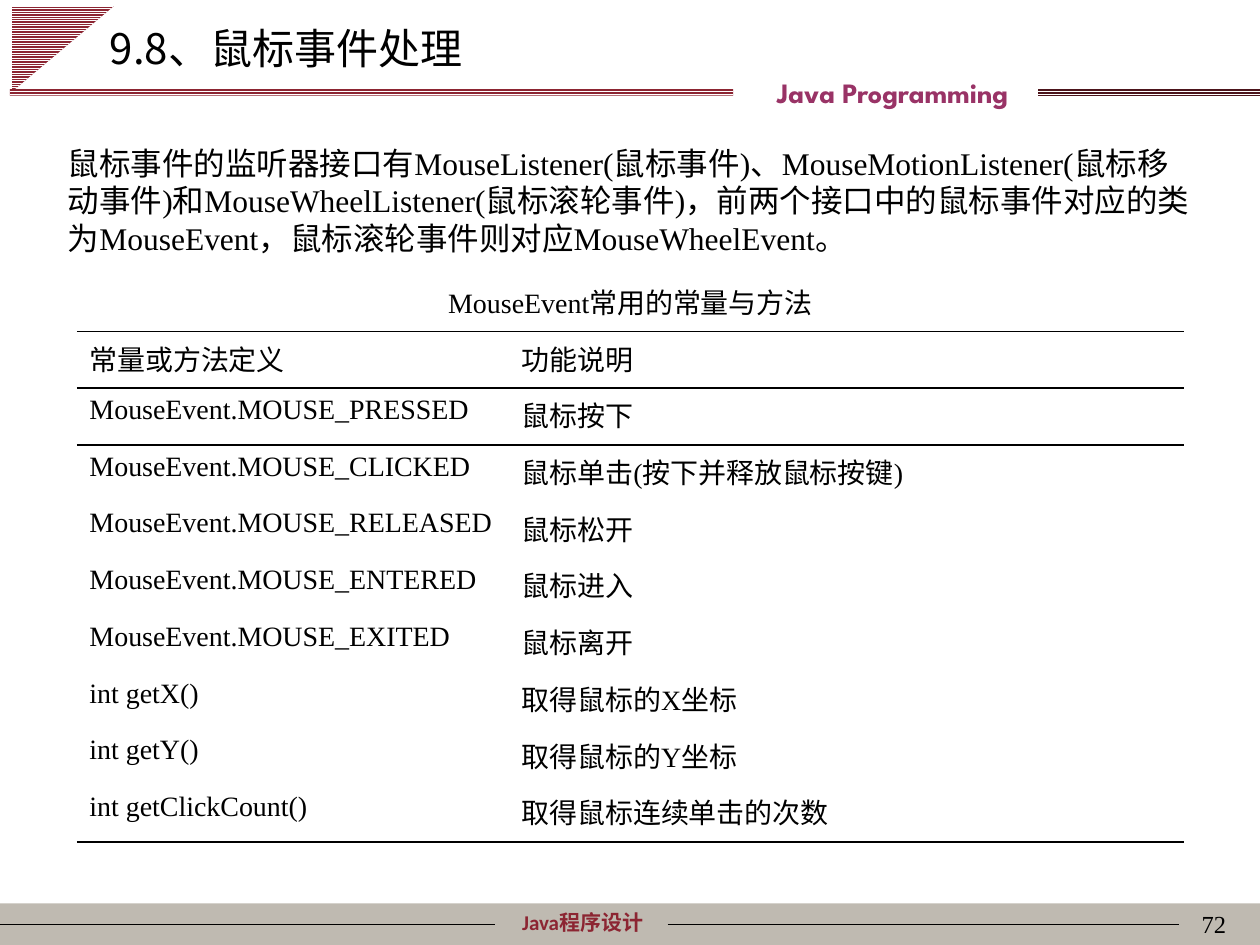
from lxml.etree import SubElement
from pptx import Presentation
from pptx.dml.color import RGBColor
from pptx.enum.dml import MSO_PATTERN
from pptx.enum.shapes import MSO_CONNECTOR, MSO_SHAPE
from pptx.enum.text import MSO_ANCHOR, PP_ALIGN
from pptx.oxml.ns import qn
from pptx.util import Cm, Pt

CJK = "Noto Sans CJK SC"
SERIF = "Times New Roman"
NO_STYLE = "{2D5ABB26-0587-4C30-8999-92F81FD0307C}"


def color(value):
    return RGBColor.from_string(value)


def write(frame, text, size, font, ink="000000", bold=False, align=PP_ALIGN.LEFT):
    frame.text = text
    frame.word_wrap = True
    paragraph = frame.paragraphs[0]
    paragraph.alignment = align
    run = paragraph.runs[0]
    run.font.size = Pt(size)
    run.font.name = font
    run.font.bold = bold
    run.font.color.rgb = color(ink)
    SubElement(run.font._element, qn("a:ea"), typeface=CJK)
    return paragraph


prs = Presentation()
prs.slide_width, prs.slide_height = Cm(25.4), Cm(19.05)
slide = prs.slides.add_slide(prs.slide_layouts[5])
shapes = slide.shapes

footer_bar = shapes.add_shape(MSO_SHAPE.RECTANGLE, 0, Cm(18.21), Cm(25.4), Cm(0.84))
footer_bar.fill.solid()
footer_bar.fill.fore_color.rgb = color("BFBAB1")
footer_bar.line.fill.background()
footer_bar.shadow.inherit = False

rule_y = Cm(18.63)
for start, end in [(0, 9.98), (13.46, 23.77)]:
    rule = shapes.add_connector(MSO_CONNECTOR.STRAIGHT, Cm(start), rule_y, Cm(end), rule_y)
    if start == 0:
        rule.begin_connect(footer_bar, 1)
    rule.line.color.rgb = color("000000")
    rule.line.width = Pt(0.75)
    SubElement(rule._element.spPr, qn("a:effectLst"))

for preset, left, top, width, height, turn, tint in [
    (MSO_SHAPE.RIGHT_TRIANGLE, 0.41, -0.05, 1.73, 2.06, 90, "8C2532"),
    (MSO_SHAPE.RECTANGLE, 20.93, 1.8, 4.47, 0.15, 0, "4C141B"),
    (MSO_SHAPE.RECTANGLE, 0.2, 1.8, 14.58, 0.13, 0, "8C2532"),
]:
    ornament = shapes.add_shape(preset, Cm(left), Cm(top), Cm(width), Cm(height))
    ornament.rotation = turn
    ornament.fill.patterned()
    ornament.fill.pattern = MSO_PATTERN.LIGHT_HORIZONTAL
    ornament.fill.fore_color.rgb = color("FFFFFF")
    ornament.fill.back_color.rgb = color(tint)
    ornament.line.fill.background()
    ornament.shadow.inherit = False

for text, left, top, width, height, size, font, ink, bold, align in [
    ("Java程序设计", 9.19, 18.21, 5.11, 0.76, 12, "Calibri", "8C2532", True, PP_ALIGN.CENTER),
    ("Java Programming", 12.9, 1.4, 10.19, 0.94, 16, "League Spartan", "993366", True, PP_ALIGN.CENTER),
    ("72", 19.69, 18.21, 5.28, 0.84, 14, SERIF, "000000", False, PP_ALIGN.RIGHT),
]:
    label = shapes.add_textbox(Cm(left), Cm(top), Cm(width), Cm(height))
    write(label.text_frame, text, size, font, ink, bold, align)

title = shapes.title
title.left, title.top, title.width, title.height = Cm(1.96), Cm(0.33), Cm(21.59), Cm(1.27)
title.text_frame.vertical_anchor = MSO_ANCHOR.TOP
write(title.text_frame, "9.8、鼠标事件处理", 24, CJK)

intro = shapes.add_textbox(Cm(1.12), Cm(2.77), Cm(23.16), Cm(2.54)).text_frame
intro.vertical_anchor = MSO_ANCHOR.MIDDLE
write(
    intro,
    "鼠标事件的监听器接口有MouseListener(鼠标事件)、MouseMotionListener(鼠标移动事件)"
    "和MouseWheelListener(鼠标滚轮事件)，前两个接口中的鼠标事件对应的类为MouseEvent，"
    "鼠标滚轮事件则对应MouseWheelEvent。",
    18, SERIF,
).line_spacing = Pt(21.6)

rows = [
    ("MouseEvent常用的常量与方法", ""),
    ("常量或方法定义", "功能说明"),
    ("MouseEvent.MOUSE_PRESSED", "鼠标按下"),
    ("MouseEvent.MOUSE_CLICKED", "鼠标单击(按下并释放鼠标按键)"),
    ("MouseEvent.MOUSE_RELEASED", "鼠标松开"),
    ("MouseEvent.MOUSE_ENTERED", "鼠标进入"),
    ("MouseEvent.MOUSE_EXITED", "鼠标离开"),
    ("int getX()", "取得鼠标的X坐标"),
    ("int getY()", "取得鼠标的Y坐标"),
    ("int getClickCount()", "取得鼠标连续单击的次数"),
]
ruled_below = {0, 1, len(rows) - 1}
table = shapes.add_table(len(rows), 2, Cm(1.55), Cm(5.54), Cm(22.32), Cm(11.43)).table
table.first_row = table.horz_banding = False
table._tbl.tblPr.find(qn("a:tableStyleId")).text = NO_STYLE
table.columns[0].width, table.columns[1].width = Cm(8.71), Cm(13.61)
table.cell(0, 0).merge(table.cell(0, 1))

for r, entries in enumerate(rows):
    for c, text in enumerate(entries):
        cell = table.cell(r, c)
        if text:
            write(cell.text_frame, text, 16, SERIF, align=PP_ALIGN.LEFT if r else PP_ALIGN.CENTER)
        borders = cell._tc.get_or_add_tcPr()
        for side, ruled in [("a:lnT", r - 1 in ruled_below), ("a:lnB", r in ruled_below)]:
            if ruled:
                edge = SubElement(borders, qn(side), w=str(Pt(1)))
                SubElement(SubElement(edge, qn("a:solidFill")), qn("a:srgbClr"), val="000000")
        cell.fill.background()

prs.save("out.pptx")
